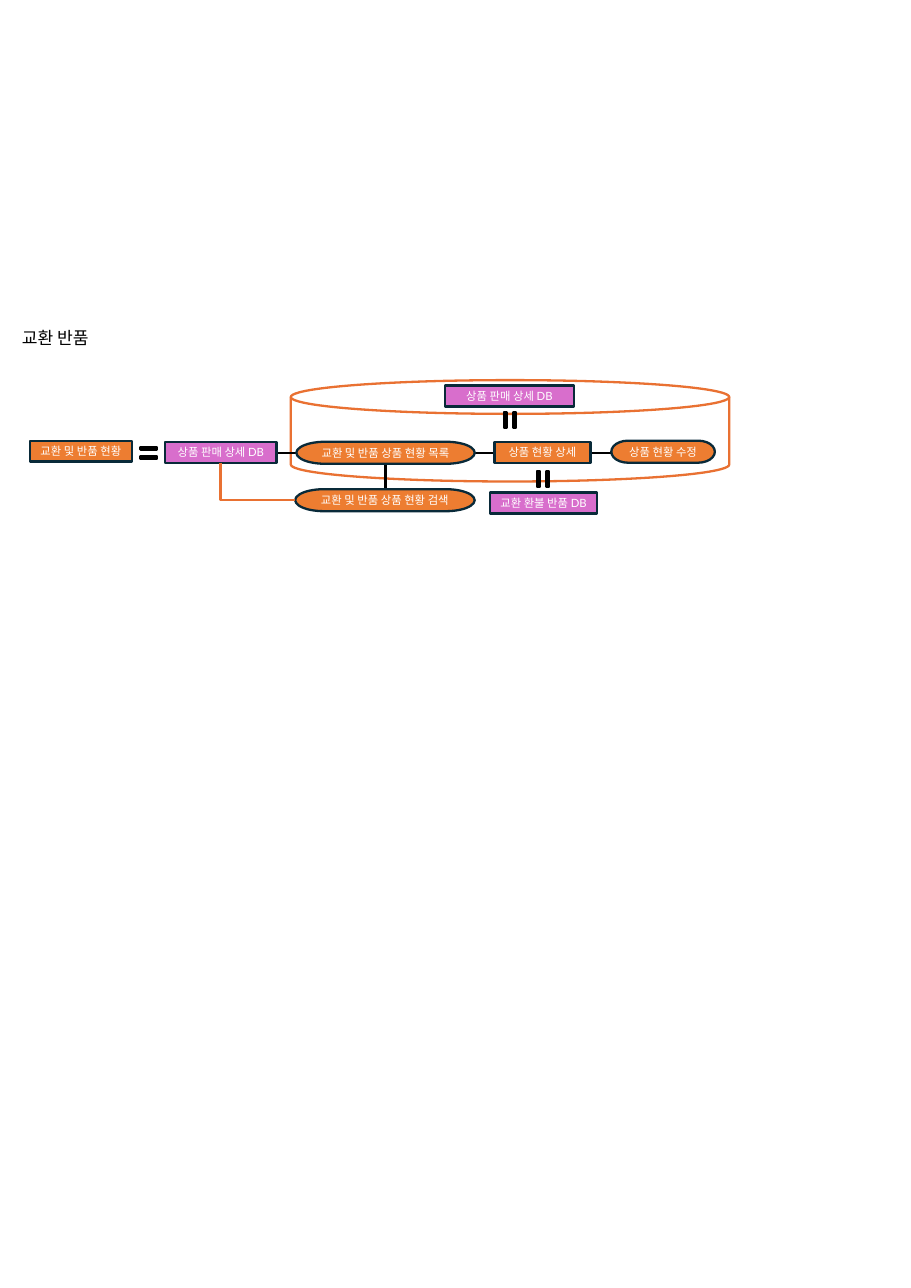
from pptx import Presentation
from pptx.dml.color import RGBColor
from pptx.enum.shapes import MSO_CONNECTOR, MSO_SHAPE
from pptx.enum.text import MSO_ANCHOR, PP_ALIGN
from pptx.oxml.ns import qn
from pptx.util import Emu, Pt
from lxml import etree

RECT = MSO_SHAPE.RECTANGLE
PILL = MSO_SHAPE.FLOWCHART_TERMINATOR
DISK = MSO_SHAPE.FLOWCHART_MAGNETIC_DISK
EQUAL = MSO_SHAPE.MATH_EQUAL
STRAIGHT, ELBOW = MSO_CONNECTOR.STRAIGHT, MSO_CONNECTOR.ELBOW
MIDDLE, CENTER = MSO_ANCHOR.MIDDLE, PP_ALIGN.CENTER

WHITE = RGBColor(0xFF, 0xFF, 0xFF)
BLACK = RGBColor(0x00, 0x00, 0x00)
NAVY = RGBColor(0x09, 0x2A, 0x39)
ORANGE = RGBColor(0xED, 0x7D, 0x31)
RUST = RGBColor(0xE9, 0x71, 0x32)
PINK = RGBColor(0xD8, 0x6E, 0xCC)
FONTS = {RECT: "Lato", PILL: "Noto Sans CJK KR"}

STEPS = [
    (RECT, ORANGE, 0, 55, 93, 19, "교환 및 반품 현황"),
    (RECT, ORANGE, 422, 56, 87, 19, "상품 현황 상세"),
    (PILL, ORANGE, 242, 56, 162, 20, "교환 및 반품 상품 현황 목록"),
    (PILL, ORANGE, 241, 99, 163, 20, "교환 및 반품 상품 현황 검색"),
    (RECT, PINK, 123, 56, 101, 19, "상품 판매 상세 DB"),
    (RECT, PINK, 377, 5, 117, 19, "상품 판매 상세 DB"),
    (PILL, ORANGE, 528, 55, 94, 20, "상품 현황 수정"),
    (RECT, PINK, 418, 102, 97, 19, "교환 환불 반품 DB"),
]
SIGNS = [(98, 52, 0), (426, 22, 270), (456, 76, 90)]


def px(count):
    """Turn px, at 100 to the inch, into EMU."""
    return Emu(int(count * 9144))


def write(shape, text, font, size, color):
    """Put one styled line of text into a shape."""
    frame = shape.text_frame
    frame.word_wrap = True
    frame.margin_left = frame.margin_right = px(6)
    frame.margin_top = frame.margin_bottom = px(3)
    line = frame.paragraphs[0]
    line.text = text
    line.font.name, line.font.size = font, Pt(size)
    line.font.color.rgb = color
    return line


def block(slide, kind, left, top, width, height, fill, edge):
    """Draw a filled and outlined shape."""
    shape = slide.shapes.add_shape(kind, px(left), px(top), px(width), px(height))
    shape.shadow.inherit = False
    shape.fill.solid()
    shape.fill.fore_color.rgb = fill
    shape.line.color.rgb = edge
    shape.line.width = Pt(1.5)
    return shape


def link(slide, kind, x1, y1, x2, y2, color):
    """Draw a connector without a shadow."""
    line = slide.shapes.add_connector(kind, px(x1), px(y1), px(x2), px(y2))
    line.line.color.rgb = color
    line.line.width = Pt(1.5)
    etree.SubElement(line.element.spPr, qn("a:effectLst"))
    return line


def corner(slide, x1, y1, x2, y2, color):
    """Draw a connector that runs down, then right."""
    midx, midy = (x1 + x2) / 2, (y1 + y2) / 2
    halfw, halfh = (y2 - y1) / 2, (x2 - x1) / 2
    line = link(slide, ELBOW, midx + halfw, midy - halfh, midx - halfw, midy + halfh, color)
    form = line.element.spPr
    form.find(qn("a:prstGeom")).set("prst", "bentConnector2")
    form.find(qn("a:xfrm")).set("rot", str(270 * 60000))


def title(slide, left, top, width, height):
    """Write the heading."""
    box = slide.shapes.add_textbox(px(left), px(top), px(width), px(height))
    write(box, "교환 반품", "Lato", 11.2, BLACK)


def flow(slide, left, top):
    """Draw the flow of exchanges and returns from its top left corner."""
    block(slide, DISK, left + 237, top, 398, 92, WHITE, RUST)
    link(slide, STRAIGHT, left + 223, top + 66, left + 528, top + 66, BLACK)
    link(slide, STRAIGHT, left + 323, top + 77, left + 323, top + 99, BLACK)
    for kind, fill, x, y, width, height, text in STEPS:
        step = block(slide, kind, left + x, top + y, width, height, fill, NAVY)
        write(step, text, FONTS[kind], 7.4, WHITE).alignment = CENTER
        step.text_frame.vertical_anchor = MIDDLE
    for x, y, turn in SIGNS:
        sign = block(slide, EQUAL, left + x, top + y, 20, 28, BLACK, BLACK)
        sign.adjustments[0], sign.adjustments[1] = 0.09, 0.22
        sign.rotation = turn
    corner(slide, left + 173, top + 75, left + 241, top + 109, RUST)


def main():
    """Build the slide and save it."""
    deck = Presentation()
    deck.slide_width, deck.slide_height = px(827), px(1169)
    slide = deck.slides.add_slide(deck.slide_layouts[6])
    title(slide, 14, 294, 186, 25)
    flow(slide, 27, 345)
    deck.save("out.pptx")


if __name__ == "__main__":
    main()
